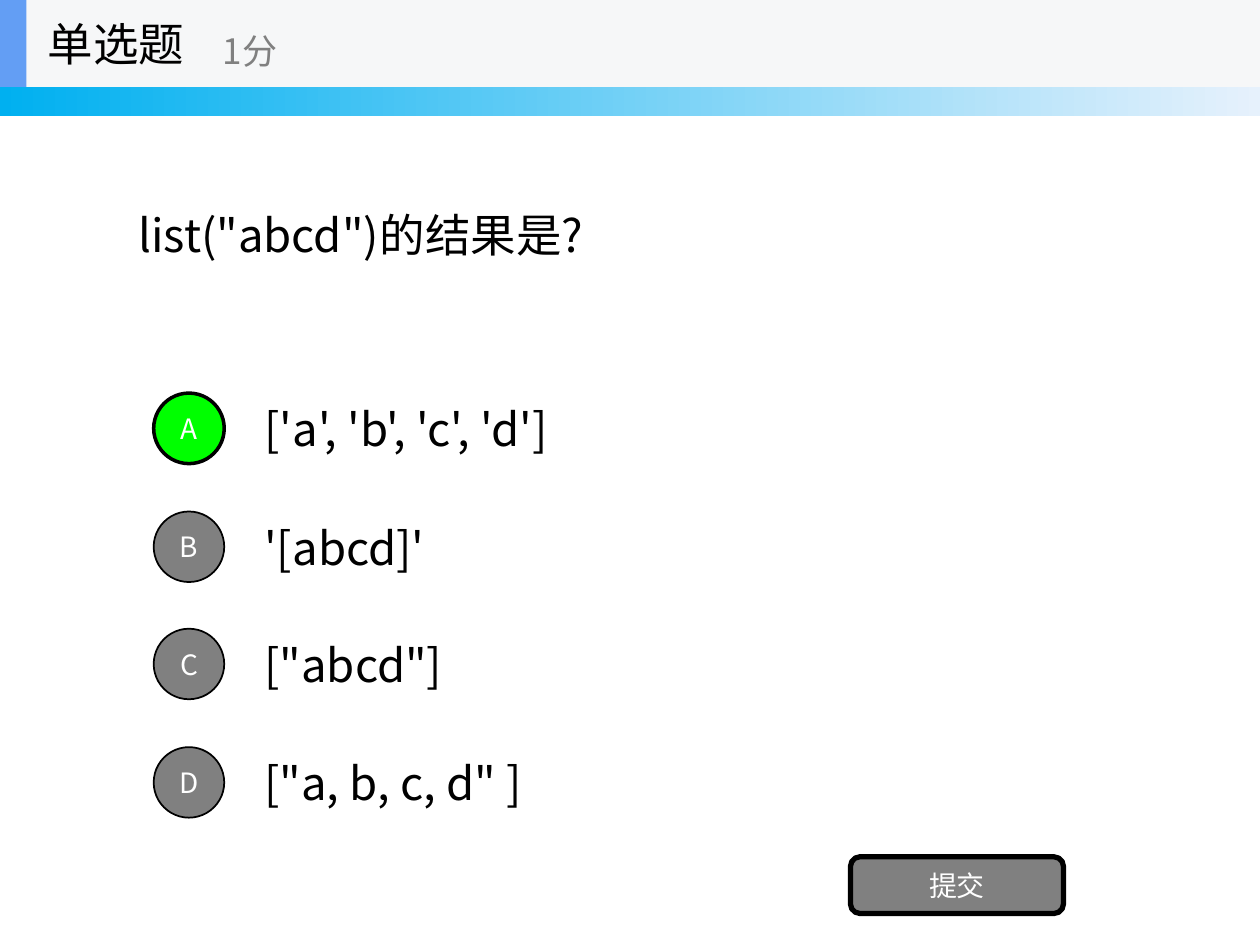
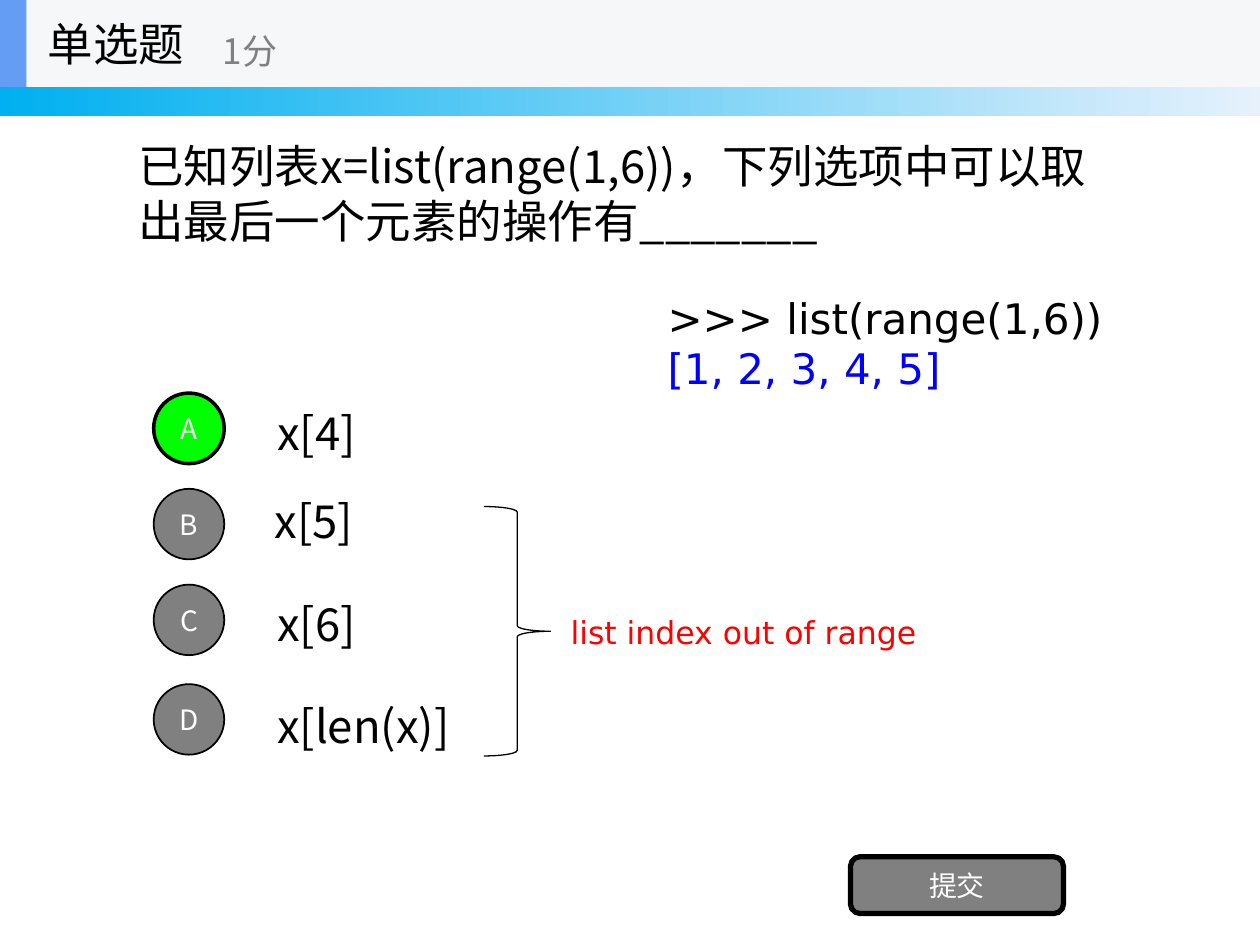
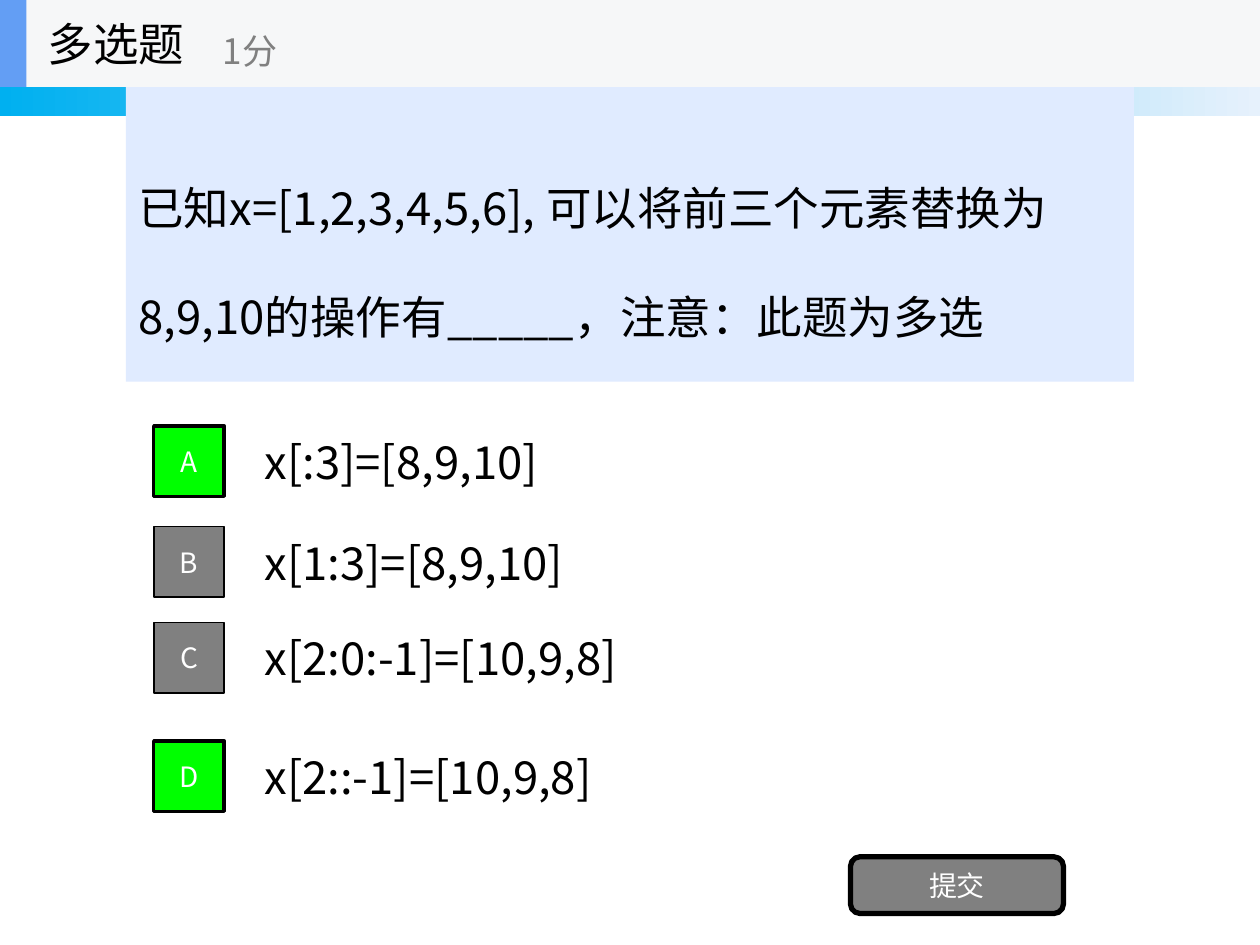
from dataclasses import dataclass

from lxml import etree
from pptx import Presentation
from pptx.dml.color import RGBColor
from pptx.enum.shapes import MSO_SHAPE as SHAPE
from pptx.enum.text import MSO_ANCHOR as ANCHOR, MSO_AUTO_SIZE as AUTO_SIZE, PP_ALIGN as ALIGN
from pptx.oxml.ns import qn
from pptx.util import Emu, Pt

PX = 9144  # one hundredth of an inch
SLIDE_WIDTH, SLIDE_HEIGHT = 1000, 750

BLACK = RGBColor(0x00, 0x00, 0x00)
WHITE = RGBColor(0xFF, 0xFF, 0xFF)
GRAY = RGBColor(0x80, 0x80, 0x80)
GREEN = RGBColor(0x00, 0xFF, 0x00)
RED = RGBColor(0xFF, 0x00, 0x00)
BLUE = RGBColor(0x00, 0x00, 0xFF)
HEADER_FILL = RGBColor(0xF6, 0xF7, 0xF8)
HEADER_ACCENT = RGBColor(0x63, 0x9E, 0xF4)
BAND_START = RGBColor(0x00, 0xB0, 0xF0)
BAND_END = RGBColor(0xE6, 0xF1, 0xFC)
QUESTION_FILL = RGBColor(0xE0, 0xEB, 0xFF)

CJK_FONT = "Noto Sans CJK SC"
CODE_FONT = "DejaVu Sans"
BODY = {"name": CJK_FONT, "size": Pt(26), "color": BLACK}
POINTS = {"name": CJK_FONT, "size": Pt(20), "color": GRAY}
LABEL = {"name": CJK_FONT, "size": Pt(16), "color": WHITE}
ERROR = {"name": CODE_FONT, "size": Pt(18), "color": RED}
CODE = {"name": CODE_FONT, "size": Pt(24), "color": BLACK}
RESULT = {**CODE, "color": BLUE}

BADGE_LEFT, BADGE_SIZE = 122, 56
ANSWER_HEIGHT = 70


@dataclass
class Option:
    text: str
    top: int  # top of the letter badge
    correct: bool = False
    left: int = 200
    width: int = 700
    rise: int = 7  # how far the answer box starts above the badge


def emu(box):
    return [Emu(length * PX) for length in box]


def write(paragraph, text, style):
    run = paragraph.add_run()
    run.text = text
    for name, value in style.items():
        if name == "color":
            run.font.color.rgb = value
        else:
            setattr(run.font, name, value)
    east_asian = etree.SubElement(run.font._element, qn("a:ea"))
    east_asian.set("typeface", style["name"])


def add_text(shapes, box, lines, anchor=ANCHOR.MIDDLE, wrap=True, spacing=None):
    """Add a text box with one paragraph per (text, style) pair."""
    text_box = shapes.add_textbox(*emu(box))
    frame = text_box.text_frame
    frame.word_wrap = wrap
    frame.vertical_anchor = anchor
    for index, (text, style) in enumerate(lines):
        paragraph = frame.add_paragraph() if index else frame.paragraphs[0]
        if spacing:
            paragraph.line_spacing = spacing
        write(paragraph, text, style)
    return text_box


def add_shape(shapes, kind, box, fill=None, line_width=None, label=None):
    shape = shapes.add_shape(kind, *emu(box))
    shape.shadow.inherit = False
    if fill is None:
        shape.fill.background()
    else:
        shape.fill.solid()
        shape.fill.fore_color.rgb = fill
    if line_width is None:
        shape.line.fill.background()
    else:
        shape.line.color.rgb = BLACK
        shape.line.width = Pt(line_width)
    if label:
        frame = shape.text_frame
        frame.vertical_anchor = ANCHOR.MIDDLE
        frame.paragraphs[0].alignment = ALIGN.CENTER
        write(frame.paragraphs[0], label, LABEL)
    return shape


def add_band(slide):
    band = add_shape(slide.shapes, SHAPE.RECTANGLE, (0, 0, SLIDE_WIDTH, 92), WHITE)
    band.fill.gradient()
    band.fill.gradient_angle = 0
    for stop, color, position in zip(band.fill.gradient_stops, (BAND_START, BAND_END), (0, 1)):
        stop.color.rgb = color
        stop.position = position


def add_header(slide, title):
    shapes = slide.shapes.add_group_shape().shapes
    height = 69
    add_shape(shapes, SHAPE.RECTANGLE, (0, 0, SLIDE_WIDTH, height), HEADER_FILL)
    add_shape(shapes, SHAPE.RECTANGLE, (0, 0, 21, height), HEADER_ACCENT)
    add_text(shapes, (28, 0, 208, height), [(title, BODY)], wrap=False)
    add_text(shapes, (167, 12, 250, 56), [("1分", POINTS)], wrap=False)


def add_option(slide, letter, option, badge_shape):
    answer_box = (option.left, option.top - option.rise, option.width, ANSWER_HEIGHT)
    add_text(slide.shapes, answer_box, [(option.text, BODY)])
    add_shape(slide.shapes, badge_shape, (BADGE_LEFT, option.top, BADGE_SIZE, BADGE_SIZE),
              GREEN if option.correct else GRAY, 2 if option.correct else 1, letter)


def add_question_slide(presentation, title, question, height, options,
                       badge_shape=SHAPE.OVAL, fill=None, spacing=None):
    slide = presentation.slides.add_slide(presentation.slide_layouts[6])
    add_band(slide)
    # Question
    question_box = add_text(slide.shapes, (100, 69, 800, height), [(question, BODY)],
                            spacing=spacing)
    if fill is not None:
        question_box.fill.solid()
        question_box.fill.fore_color.rgb = fill
    # Options and submit button
    for letter, option in zip("ABCD", options):
        add_option(slide, letter, option, badge_shape)
    add_shape(slide.shapes, SHAPE.ROUNDED_RECTANGLE, (675, 680, 169, 45), GRAY, 3, "提交")
    add_header(slide, title)
    return slide


def add_index_notes(slide, left, top):
    """Show the list's value and bracket the answers that are out of range."""
    shapes = slide.shapes
    add_shape(shapes, SHAPE.RIGHT_BRACE, (left, top, 53, 198), line_width=0.75)
    notes = [
        ((left + 59, top + 80, 299, 40), [("list index out of range", ERROR)]),
        ((left + 136, top - 175, 377, 91),
         [(">>> list(range(1,6))", CODE), ("[1, 2, 3, 4, 5]", RESULT)]),
    ]
    for box, lines in notes:
        note = add_text(shapes, box, lines, ANCHOR.TOP, wrap=False)
        note.text_frame.auto_size = AUTO_SIZE.SHAPE_TO_FIT_TEXT


def main():
    presentation = Presentation()
    presentation.slide_width, presentation.slide_height = emu((SLIDE_WIDTH, SLIDE_HEIGHT))

    # Converting a string to a list
    answers = ["['a', 'b', 'c', 'd']", "'[abcd]'", '["abcd"]', '["a, b, c, d" ]']
    options = [Option(text, 312 + round(index * 93.67), index == 0)
               for index, text in enumerate(answers)]
    add_question_slide(presentation, "单选题", 'list("abcd")的结果是?', 234, options)

    # Taking the last element
    options = [
        Option("x[4]", 312, True, left=210, width=98, rise=4),
        Option("x[5]", 388, left=208, width=111, rise=10),
        Option("x[6]", 464, left=210, width=98, rise=4),
        Option("x[len(x)]", 543, left=210, width=168, rise=2),
    ]
    slide = add_question_slide(
        presentation, "单选题",
        "已知列表x=list(range(1,6))，下列选项中可以取出最后一个元素的操作有_______",
        168, options)
    add_index_notes(slide, 384, 402)

    # Replacing the first three elements
    options = [
        Option("x[:3]=[8,9,10]", 338, True),
        Option("x[1:3]=[8,9,10]", 418),
        Option("x[2:0:-1]=[10,9,8]", 494),
        Option("x[2::-1]=[10,9,8]", 588, True),
    ]
    add_question_slide(
        presentation, "多选题",
        "已知x=[1,2,3,4,5,6], 可以将前三个元素替换为8,9,10的操作有_____，注意：此题为多选",
        234, options, SHAPE.RECTANGLE, QUESTION_FILL, spacing=2.0)

    presentation.save("out.pptx")


if __name__ == "__main__":
    main()
